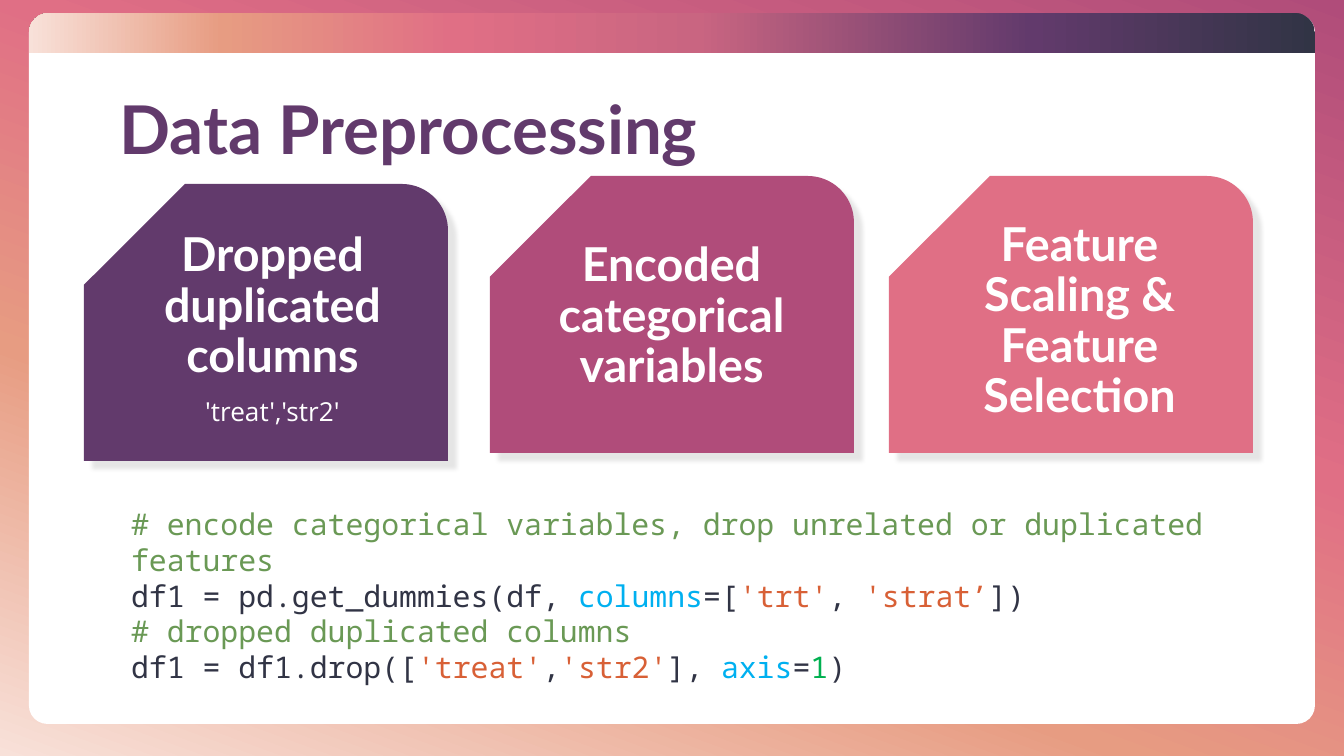
import dataclasses
from typing import NamedTuple

import lxml.etree
import pptx
import pptx.dml.color
import pptx.enum.shapes
import pptx.enum.text
import pptx.oxml
import pptx.oxml.ns
import pptx.util

SHAPE = pptx.enum.shapes.MSO_SHAPE
ALIGN = pptx.enum.text.PP_ALIGN
ANCHOR = pptx.enum.text.MSO_ANCHOR
EMU_PER_PX = 9144000 / 1344
qualified = pptx.oxml.ns.qn


@dataclasses.dataclass(frozen=True)
class Theme:
    purple: str = "623A6C"
    magenta: str = "B04C7A"
    pink: str = "E06F85"
    rose: str = "C96581"
    orange: str = "E79C82"
    cream: str = "F8E1D9"
    ink: str = "313445"
    white: str = "FFFFFF"
    black: str = "000000"
    comment: str = "6A9955"
    keyword: str = "00B0F0"
    string: str = "D86036"
    number: str = "00B050"
    heading_font: str = "Lato"
    body_font: str = "Open Sans"
    code_font: str = "Noto Sans Mono"
    title_size: int = 36
    card_size: int = 25
    note_size: int = 14
    code_size: int = 16


THEME = Theme()


class Area(NamedTuple):
    left: int
    top: int
    width: int
    height: int


class Span(NamedTuple):
    text: str
    color: str = THEME.ink


class Label(NamedTuple):
    text: str
    area: Area
    font: str = THEME.heading_font
    size: int = THEME.card_size
    bold: bool = True
    anchor: ANCHOR = ANCHOR.MIDDLE


class Card(NamedTuple):
    area: Area
    color: str
    labels: tuple[Label, ...]


def px(length: int) -> pptx.util.Emu:
    return pptx.util.Emu(round(length * EMU_PER_PX))


def rgb(color: str) -> pptx.dml.color.RGBColor:
    return pptx.dml.color.RGBColor.from_string(color)


def set_gradient(fill, owner, stops: dict[int, str], angle: int) -> None:
    """Fill with any number of stops, turned clockwise by angle degrees."""
    fill.gradient()
    fill.gradient_angle = 360 - angle
    stop_list = next(owner.iter(qualified("a:gsLst")))
    for stop in list(stop_list):
        stop_list.remove(stop)
    for position, color in stops.items():
        stop = lxml.etree.SubElement(stop_list, qualified("a:gs"), pos=str(position * 1000))
        lxml.etree.SubElement(stop, qualified("a:srgbClr"), val=color)


def add_shadow(shape) -> None:
    effects = shape._element.spPr.find(qualified("a:effectLst"))
    shadow = lxml.etree.SubElement(
        effects, qualified("a:outerShdw"), blurRad=str(pptx.util.Pt(2)),
        dist=str(pptx.util.Pt(6)), dir="2700000", algn="tl", rotWithShape="0")
    color = lxml.etree.SubElement(shadow, qualified("a:srgbClr"), val=THEME.black)
    lxml.etree.SubElement(color, qualified("a:alpha"), val="10000")


def add_panel(page, kind: SHAPE, area: Area, adjustments: tuple[float, ...],
              color: str = THEME.white):
    shape = page.shapes.add_shape(kind, *map(px, area))
    shape.shadow.inherit = False
    shape.line.fill.background()
    shape.fill.solid()
    shape.fill.fore_color.rgb = rgb(color)
    for index, value in enumerate(adjustments):
        shape.adjustments[index] = value
    return shape


def add_text(page, lines: list[list[Span]], area: Area, *, font: str, size: int,
             bold: bool = False, align: ALIGN = ALIGN.LEFT, anchor: ANCHOR = ANCHOR.TOP,
             line_spacing: float = 1.0, space_before: float = 0) -> None:
    frame = page.shapes.add_textbox(*map(px, area)).text_frame
    frame.word_wrap = True
    frame.vertical_anchor = anchor
    for index, line in enumerate(lines):
        para = frame.add_paragraph() if index else frame.paragraphs[0]
        para.alignment = align
        para.line_spacing = line_spacing
        para.space_before = pptx.util.Pt(space_before)
        for span in line:
            run = para.add_run()
            run.text = span.text
            run.font.name = font
            run.font.size = pptx.util.Pt(size)
            run.font.bold = bold
            run.font.color.rgb = rgb(span.color)


def add_card(page, card: Card) -> None:
    shape = add_panel(page, SHAPE.SNIP_ROUND_RECTANGLE, card.area, (0.167, 0.364), card.color)
    shape._element.spPr.find(qualified("a:xfrm")).set("flipH", "1")
    add_shadow(shape)
    for label in card.labels:
        add_text(page, [[Span(label.text, THEME.white)]], label.area, font=label.font,
                 size=label.size, bold=label.bold, align=ALIGN.CENTER,
                 anchor=label.anchor, line_spacing=0.9, space_before=7.5)


CARDS = [
    Card(Area(84, 184, 364, 277), THEME.purple, (
        Label("Dropped duplicated columns", Area(106, 278, 333, 58)),
        Label("'treat','str2'", Area(106, 384, 333, 58), THEME.body_font,
              THEME.note_size, False))),
    Card(Area(490, 176, 364, 277), THEME.magenta, (
        Label("Encoded categorical variables", Area(505, 235, 333, 58), anchor=ANCHOR.TOP),)),
    Card(Area(889, 176, 364, 277), THEME.pink, (
        Label("Feature Scaling & Feature Selection", Area(913, 293, 333, 58)),)),
]

CODE = [
    [Span("# encode categorical variables, drop unrelated or duplicated features", THEME.comment)],
    [Span("df1 = pd.get_dummies(df, "), Span("columns", THEME.keyword), Span("=["),
     Span("'trt'", THEME.string), Span(", "), Span("'strat’", THEME.string), Span("])")],
    [Span("# dropped duplicated columns", THEME.comment)],
    [Span("df1 = df1.drop(["), Span("'treat'", THEME.string), Span(","),
     Span("'str2'", THEME.string), Span("], "), Span("axis", THEME.keyword), Span("="),
     Span("1", THEME.number), Span(")")],
]


def main() -> None:
    deck = pptx.Presentation()
    deck.slide_width, deck.slide_height = px(1344), px(756)
    page = deck.slides.add_slide(deck.slide_layouts[6])

    # Background and white panel with its gradient band
    set_gradient(page.background.fill, page._element, {
        0: THEME.magenta, 39: THEME.pink, 67: THEME.orange, 100: THEME.cream}, 110)
    add_panel(page, SHAPE.ROUNDED_RECTANGLE, Area(29, 14, 1286, 710), (0.026,))
    band = add_panel(page, SHAPE.ROUND_2_SAME_RECTANGLE, Area(29, 13, 1286, 40), (0.5, 0))
    set_gradient(band.fill, band._element, {
        0: THEME.ink, 22: THEME.purple, 48: THEME.rose, 67: THEME.pink,
        85: THEME.orange, 100: THEME.cream}, 180)

    # Step cards
    for card in CARDS:
        add_card(page, card)

    # Title and code
    add_text(page, [[Span("Data Preprocessing", THEME.purple)]], Area(106, 80, 1132, 105),
             font=THEME.heading_font, size=THEME.title_size, bold=True,
             anchor=ANCHOR.MIDDLE, line_spacing=0.9)
    add_text(page, CODE, Area(118, 499, 1206, 159), font=THEME.code_font, size=THEME.code_size)

    deck.save("out.pptx")


if __name__ == "__main__":
    main()
